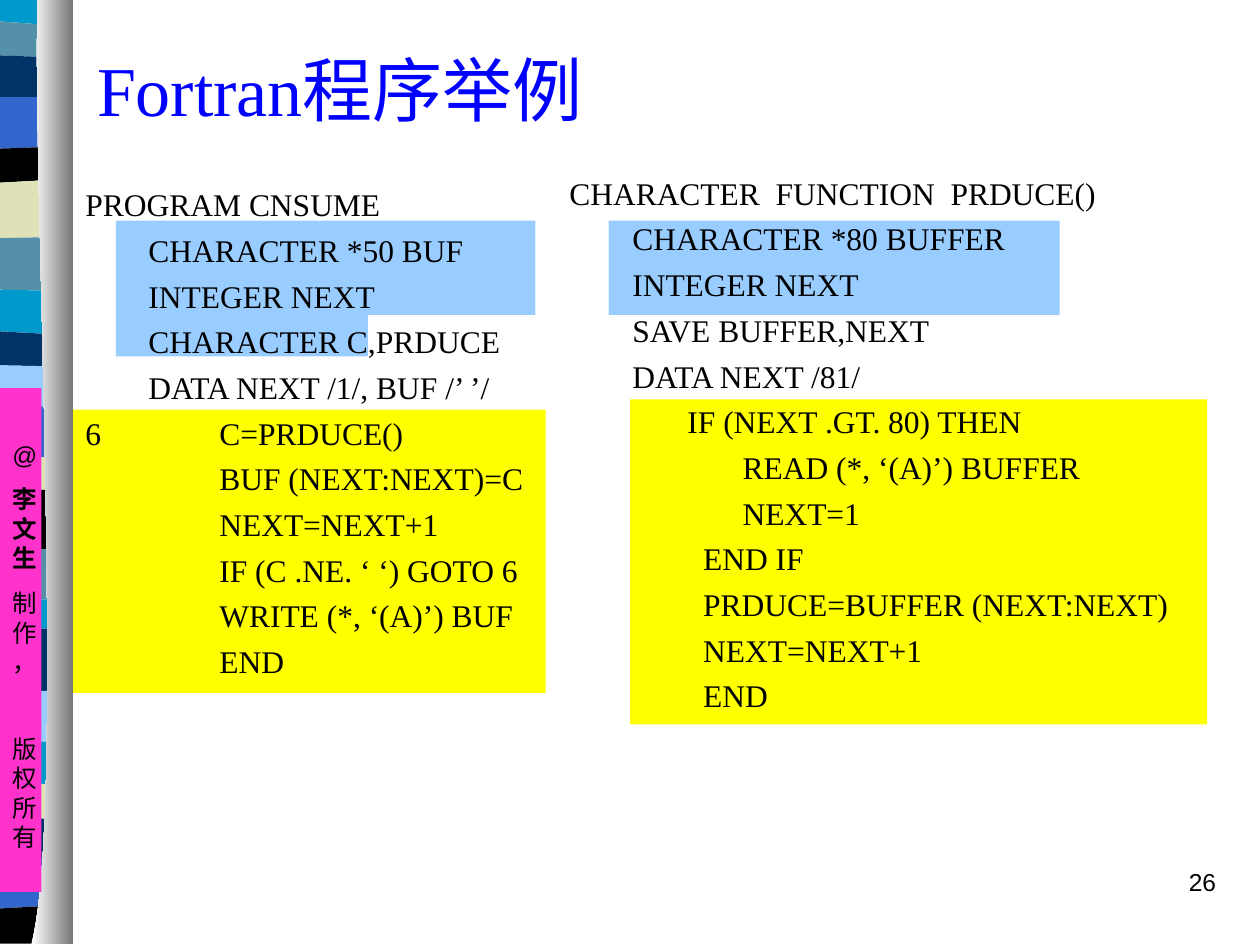
from itertools import pairwise

from pptx import Presentation
from pptx.dml.color import RGBColor
from pptx.enum.shapes import MSO_SHAPE as Preset
from pptx.enum.text import MSO_ANCHOR as Anchor, MSO_AUTO_SIZE as AutoSize, PP_ALIGN as Align
from pptx.util import Inches, Pt

SERIF, SANS = "Times New Roman", "Arial"
BLACK, BLUE, YELLOW, PALE, PINK = "000000", "0000FF", "FFFF00", "99CCFF", "FF33CC"
AQUA, TEAL, NAVY, ROYAL, SAND = "0099CC", "5490A8", "003366", "3366CC", "E1E1B7"
BOTTOM, BAND_LEFT, BAND_RIGHT = 7.49, -0.53, 0.55
UNITS_PER_INCH = 1000
SPACE_WIDTH = 4.5
LABEL_COLUMN = 17

BANDS = [
    (0, 0, AQUA), (0.17, 0.21, TEAL), (0.44, 0.46, NAVY), (0.77, 0.77, ROYAL),
    (1.18, 1.16, BLACK), (1.45, 1.42, SAND), (1.89, 1.88, TEAL), (2.3, 2.31, AQUA),
    (2.63, 2.66, NAVY), (2.9, 2.91, PALE), (3.22, 3.23, ROYAL), (3.63, 3.63, SAND),
    (3.9, 3.88, BLACK), (4.37, 4.35, TEAL), (4.77, 4.75, AQUA), (4.99, 4.99, NAVY),
    (5.49, 5.48, PALE), (5.88, 5.89, AQUA), (6.21, 6.23, SAND), (6.49, 6.5, NAVY),
    (6.81, 6.81, ROYAL), (7.21, 7.18, BLACK), (BOTTOM, BOTTOM, None),
]
PANELS = [
    (5, 3.17, 4.58, 2.58, YELLOW),
    (0.58, 3.25, 3.75, 2.25, YELLOW),
    (0.92, 2.5, 2, 0.33, PALE),
    (0.92, 1.75, 3.33, 0.75, PALE),
    (4.83, 1.75, 3.58, 0.75, PALE),
]
CONSUMER = [
    (0, "PROGRAM CNSUME"),
    (8, "CHARACTER *50 BUF"),
    (8, "INTEGER NEXT"),
    (8, "CHARACTER C,PRDUCE"),
    (8, "DATA NEXT /1/, BUF /’ ’/"),
    (0, "6\tC=PRDUCE()"),
    (17, "BUF (NEXT:NEXT)=C"),
    (17, "NEXT=NEXT+1"),
    (17, "IF (C .NE. ‘ ‘) GOTO 6"),
    (17, "WRITE (*, ‘(A)’) BUF"),
    (17, "END"),
]
PRODUCER = [
    (0, "CHARACTER  FUNCTION  PRDUCE()"),
    (8, "CHARACTER *80 BUFFER"),
    (8, "INTEGER NEXT"),
    (8, "SAVE BUFFER,NEXT"),
    (8, "DATA NEXT /81/"),
    (15, "IF (NEXT .GT. 80) THEN"),
    (22, "READ (*, ‘(A)’) BUFFER"),
    (22, "NEXT=1"),
    (17, "END IF"),
    (17, "PRDUCE=BUFFER (NEXT:NEXT)"),
    (17, "NEXT=NEXT+1"),
    (17, "END"),
]
CREDITS = [("@", 0, False), ("李文生", 8.8, True), ("制作，", 8.8, False), ("版权所有", 33, False)]


def color(code):
    """Turn a hex string into a colour."""
    return RGBColor.from_string(code)


def set_font(para, name, size, code, bold=False):
    """Set the font of a whole paragraph."""
    font = para.font
    font.name, font.size, font.bold = name, Pt(size), bold
    font.color.rgb = color(code)


def paragraphs(frame, count):
    """Return the given number of paragraphs of a text frame."""
    return [frame.paragraphs[0]] + [frame.add_paragraph() for _ in range(count - 1)]


def add_panel(slide, left, top, width, height, code):
    """Add a plain filled rectangle."""
    panel = slide.shapes.add_shape(Preset.RECTANGLE, *map(Inches, (left, top, width, height)))
    panel.shadow.inherit = False
    panel.fill.solid()
    panel.fill.fore_color.rgb = color(code)
    panel.line.fill.background()
    return panel


def add_outline(slide, points):
    """Add a closed outline, given in inches, without line or shadow."""
    start, *rest = [(x * UNITS_PER_INCH, y * UNITS_PER_INCH) for x, y in points]
    builder = slide.shapes.build_freeform(*start, scale=Inches(1) / UNITS_PER_INCH)
    builder.add_line_segments(rest, close=True)
    outline = builder.convert_to_shape()
    outline.shadow.inherit = False
    outline.line.fill.background()
    return outline


def add_bands(slide):
    """Stack the coloured bands, bleeding over the left edge."""
    for (left, right, code), (next_left, next_right, _) in pairwise(BANDS):
        band = add_outline(slide, [
            (BAND_LEFT, left), (0, left), (BAND_RIGHT, right),
            (BAND_RIGHT, next_right), (0, next_left), (BAND_LEFT, next_left),
        ])
        band.fill.solid()
        band.fill.fore_color.rgb = color(code)


def bezier(controls, steps=40):
    """Sample a cubic curve through its four control points."""
    weights = (1, 3, 3, 1)
    return [
        tuple(sum(weight * (1 - t) ** (3 - power) * t ** power * point[axis]
                  for power, (weight, point) in enumerate(zip(weights, controls)))
              for axis in (0, 1))
        for t in (step / steps for step in range(steps + 1))
    ]


def add_spine(slide):
    """Add the shaded strip with its curved left edge."""
    edge = bezier([(0.3, 0), (0.25, 1.25), (0.53, 6.46), (0.25, BOTTOM)])
    spine = add_outline(slide, edge + [(0.58, BOTTOM), (0.58, 0)])
    spine.fill.gradient()
    spine.fill.gradient_angle = 0
    for stop, code in zip(spine.fill.gradient_stops, ("FFFFFF", "767676")):
        stop.color.rgb = color(code)


def add_credits(slide):
    """Add the narrow sidebar with one character per line."""
    frame = add_panel(slide, 0, 3.08, 0.33, 4, PINK).text_frame
    frame.word_wrap = True
    frame.vertical_anchor = Anchor.TOP
    frame.margin_top = Inches(0.41)
    for para, (text, gap, bold) in zip(paragraphs(frame, len(CREDITS)), CREDITS):
        para.text, para.alignment = text, Align.CENTER
        para.space_before = Pt(gap)
        set_font(para, SANS, 14, BLACK, bold)


def add_text_box(slide, left, top, width, height):
    """Add a wrapping text box and return its frame."""
    box = slide.shapes.add_textbox(*map(Inches, (left, top, width, height)))
    box.text_frame.word_wrap = True
    return box.text_frame


def add_code(slide, area, lines):
    """Add a listing whose lines are indented by character columns."""
    frame = add_text_box(slide, *area)
    for para, (column, text) in zip(paragraphs(frame, len(lines)), lines):
        para.text, para.space_before = text, Pt(4.5)
        hanging = LABEL_COLUMN if "\t" in text else 0
        settings = para._p.get_or_add_pPr()
        settings.set("marL", str(Pt((column + hanging) * SPACE_WIDTH)))
        settings.set("indent", str(Pt(-hanging * SPACE_WIDTH)))
        set_font(para, SERIF, 18, BLACK)


def set_title(slide, text):
    """Place and format the title."""
    title = slide.shapes.title
    title.left, title.top, title.width, title.height = map(Inches, (0.67, 0.08, 9.12, 1.25))
    frame = title.text_frame
    frame.text, frame.vertical_anchor, frame.auto_size = text, Anchor.MIDDLE, AutoSize.NONE
    para = frame.paragraphs[0]
    para.alignment = Align.LEFT
    set_font(para, SERIF, 40, BLUE)


def add_page_number(slide, number):
    """Add the page number at the lower right."""
    para = add_text_box(slide, 7.67, 6.83, 2.08, 0.5).paragraphs[0]
    para.text, para.alignment = number, Align.RIGHT
    set_font(para, SANS, 14, BLACK)


def main():
    """Build the deck and save it."""
    deck = Presentation()
    deck.slide_width, deck.slide_height = Inches(10), Inches(7.5)
    slide = deck.slides.add_slide(deck.slide_layouts[5])
    add_bands(slide)
    add_spine(slide)
    add_credits(slide)
    for panel in PANELS:
        add_panel(slide, *panel)
    add_code(slide, (0.58, 1.42, 4.42, 4.08), CONSUMER)
    set_title(slide, "Fortran程序举例")
    add_code(slide, (4.42, 1.33, 5.28, 4.42), PRODUCER)
    add_page_number(slide, "26")
    deck.save("out.pptx")


if __name__ == "__main__":
    main()
